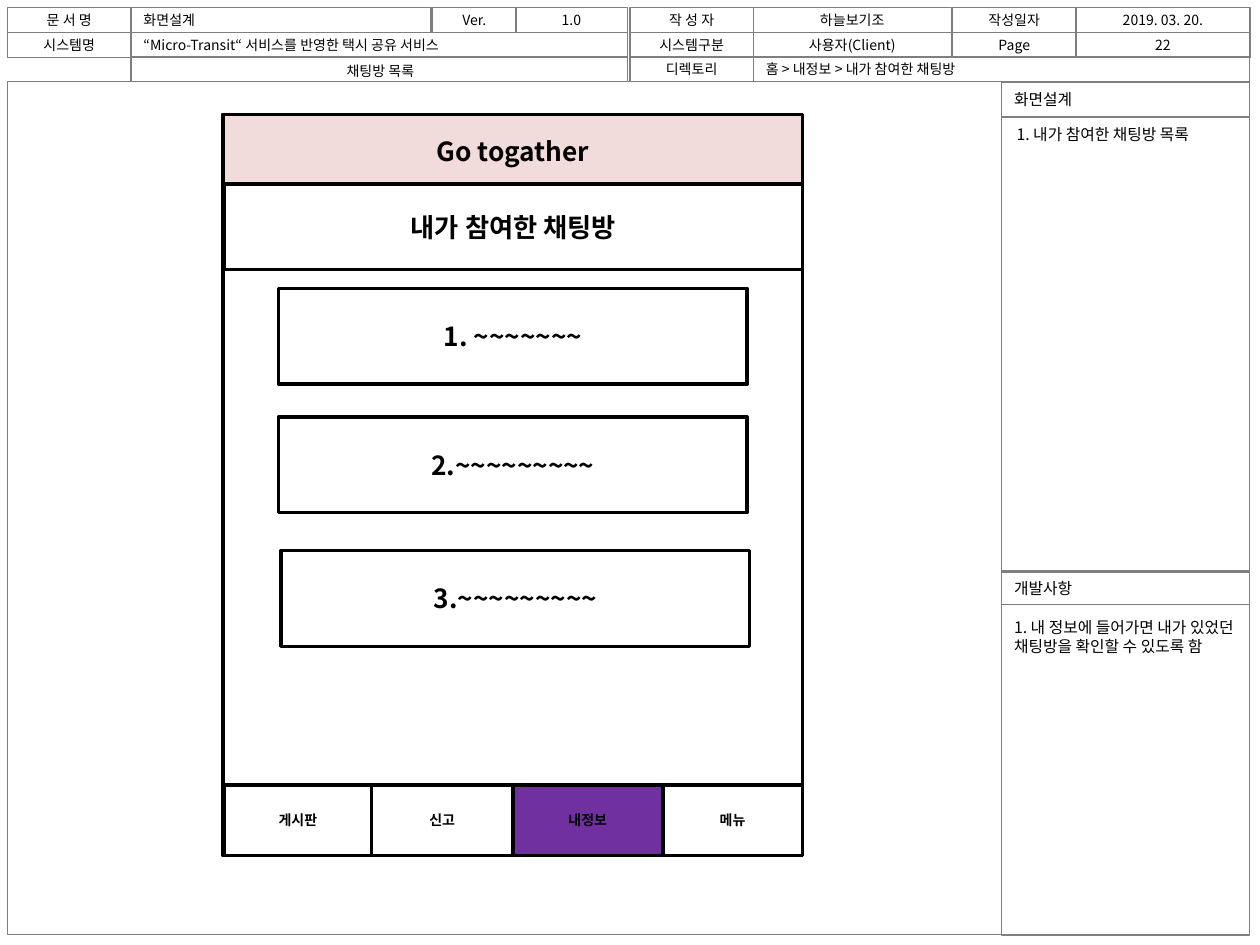
from pptx import Presentation
from pptx.util import Inches, Pt
from pptx.dml.color import RGBColor
from pptx.enum.shapes import MSO_SHAPE as Shape
from pptx.enum.text import PP_ALIGN as Align, MSO_ANCHOR as Anchor, MSO_AUTO_SIZE as Fit
from lxml import etree

FONT = "Noto Sans CJK KR"
NS = "http://schemas.openxmlformats.org/drawingml/2006/main"
BLACK = RGBColor(0x00, 0x00, 0x00)
WHITE = RGBColor(0xFF, 0xFF, 0xFF)
GRAY = RGBColor(0x7F, 0x7F, 0x7F)
PINK = RGBColor(0xF2, 0xDC, 0xDB)
PURPLE = RGBColor(0x70, 0x30, 0xA0)

deck = Presentation()
deck.slide_width, deck.slide_height = Inches(10), Inches(7.5)
slide = deck.slides.add_slide(deck.slide_layouts[5])


def write(shape, text, size=8, bold=False, align=Align.CENTER, anchor=Anchor.MIDDLE):
    frame = shape.text_frame
    frame.word_wrap = True
    frame.auto_size = Fit.NONE
    frame.vertical_anchor = anchor
    para = frame.paragraphs[0]
    para.alignment = align
    run = para.add_run()
    run.text = text
    font = run.font
    font.name, font.size, font.bold = FONT, Pt(size), bold
    font.color.rgb = BLACK
    east = etree.SubElement(run._r.get_or_add_rPr(), f"{{{NS}}}ea")
    east.set("typeface", FONT)


def box(left, top, width, height, fill=None, line=GRAY, weight=0.75):
    rect = slide.shapes.add_shape(Shape.RECTANGLE, Inches(left), Inches(top),
                                  Inches(width), Inches(height))
    rect.shadow.inherit = False
    if fill is None:
        rect.fill.background()
    else:
        rect.fill.solid()
        rect.fill.fore_color.rgb = fill
    rect.line.color.rgb = line
    rect.line.width = Pt(weight)
    return rect


# Page frame
box(0.06, 0.65, 9.86, 6.77)

# Header grid: left, width, text, alignment for each row
MID, LEFT = Align.CENTER, Align.LEFT
rows = [
    (0.06, [(0.06, 0.98, "문 서 명", MID), (1.04, 2.38, "화면설계", LEFT),
            (3.43, 0.67, "Ver.", MID), (4.09, 0.89, "1.0", MID),
            (5, 0.98, "작 성 자", MID), (5.98, 1.57, "하늘보기조", MID),
            (7.56, 0.98, "작성일자", MID), (8.54, 1.38, "2019. 03. 20.", MID)]),
    (0.26, [(0.06, 0.98, "시스템명", MID),
            (1.04, 3.94, "“Micro-Transit“ 서비스를 반영한 택시 공유 서비스", LEFT),
            (5, 0.98, "시스템구분", MID), (5.98, 1.57, "사용자(Client)", MID),
            (7.56, 0.98, "Page", MID), (8.54, 1.38, "22", MID)]),
    (0.45, [(1.04, 3.94, "", MID), (5, 0.98, "디렉토리", MID),
            (5.98, 3.94, "홈 > 내정보 > 내가 참여한 채팅방", LEFT)]),
]
for top, cells in rows:
    for left, width, text, align in cells:
        cell = box(left, top, width, 0.2)
        if text:
            write(cell, text, align=align)

# Screen name is the slide title
title = slide.shapes.title
title.left, title.top = Inches(1.05), Inches(0.44)
title.width, title.height = Inches(3.94), Inches(0.24)
write(title, "채팅방 목록")

# Side panels: heading, body, note
panels = [
    (0.65, 0.28, 3.61, "화면설계", 7.97, 0.94, 0.25, "1. 내가 참여한 채팅방 목록"),
    (4.53, 0.27, 2.62, "개발사항", 7.95, 4.85, 0.55,
     "1. 내 정보에 들어가면 내가 있었던 채팅방을 확인할 수 있도록 함"),
]
for top, head, body, name, left, y, height, text in panels:
    box(7.95, top + head, 1.97, body)
    write(box(7.95, top, 1.97, head), name, size=9, align=LEFT)
    note = slide.shapes.add_textbox(Inches(left), Inches(y), Inches(1.97), Inches(height))
    write(note, text, size=9, align=LEFT, anchor=Anchor.TOP)

# App screen: outline, banner, chat rooms, tabs, heading
box(1.77, 0.91, 4.6, 5.88, WHITE, BLACK, 2)
parts = [
    (1.77, 0.91, 4.6, 0.57, PINK, "Go togather", 15),
    (2.21, 2.29, 3.72, 0.76, WHITE, "1. ~~~~~~~", 15),
    (2.21, 3.31, 3.72, 0.76, WHITE, "2.~~~~~~~~~", 15),
    (2.23, 4.37, 3.72, 0.76, WHITE, "3.~~~~~~~~~", 15),
    (1.78, 6.23, 1.17, 0.56, WHITE, "게시판", 8),
    (4.07, 6.23, 1.19, 0.56, PURPLE, "내정보", 8),
    (5.26, 6.23, 1.11, 0.56, None, "메뉴", 8),
    (2.95, 6.23, 1.12, 0.56, None, "신고", 8),
    (1.78, 1.46, 4.59, 0.68, WHITE, "내가 참여한 채팅방", 15),
]
for left, top, width, height, fill, text, size in parts:
    write(box(left, top, width, height, fill, BLACK, 2), text, size=size, bold=True)

deck.save("out.pptx")
